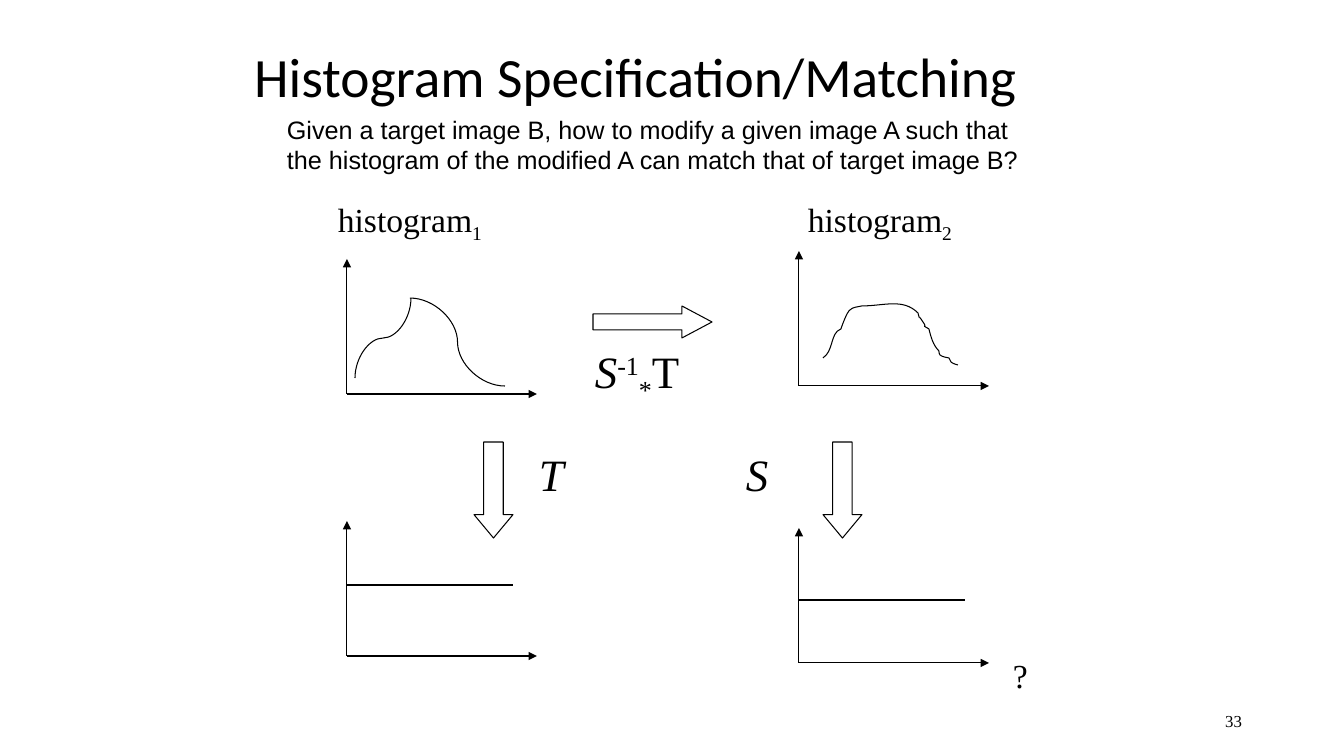
"""Builds the histogram matching slide."""
import lxml.etree
import pptx
import pptx.dml.color
import pptx.enum.shapes
import pptx.enum.text
import pptx.oxml.ns
import pptx.util

SCALE = 914400 / 100.8
SLIDE = (1344, 756)
INK = "000000"
LINE_WIDTH = 0.75

ALIGN = pptx.enum.text.PP_ALIGN
ANCHOR = pptx.enum.text.MSO_ANCHOR
AUTO = pptx.enum.text.MSO_AUTO_SIZE
SHAPE = pptx.enum.shapes.MSO_SHAPE
CONNECTOR = pptx.enum.shapes.MSO_CONNECTOR

SERIF, SANS = "Times New Roman", "Arial"
FIT = {"word_wrap": False, "auto_size": AUTO.SHAPE_TO_FIT_TEXT}
FIXED = {"word_wrap": True, "auto_size": AUTO.NONE, "vertical_anchor": ANCHOR.MIDDLE}

TITLE = ("Histogram Specification/Matching", (244, 17, 857, 126))

# Each label: box, size, font, frame format, alignment, paragraphs of (text, italic, baseline %).
LABELS = [
    ((950, 701, 302, 40), 12, SERIF, FIXED, ALIGN.RIGHT, [[("33", False, 0)]]),
    ((736, 442, 42, 64), 32, SERIF, FIT, ALIGN.LEFT, [[("S", True, 0)]]),
    ((529, 442, 45, 64), 32, SERIF, FIT, ALIGN.LEFT, [[("T", True, 0)]]),
    ((585, 339, 111, 65), 32, SERIF, FIT, ALIGN.LEFT,
     [[("S", True, 0), ("-1", False, 30), ("*", False, -25), ("T", False, 0)]]),
    ((328, 194, 165, 50), 24, SERIF, FIT, ALIGN.LEFT, [[("histogram", False, 0), ("1", False, -25)]]),
    ((798, 194, 165, 50), 24, SERIF, FIT, ALIGN.LEFT, [[("histogram", False, 0), ("2", False, -25)]]),
    ((1003, 650, 35, 50), 24, SERIF, FIT, ALIGN.LEFT, [[("?", False, 0)]]),
    ((277, 109, 767, 72), 18, SANS, FIT, ALIGN.LEFT,
     [[("Given a target image B, how to modify a given image A such that", False, 0)],
      [("the histogram of the modified A can match that of target image B?", False, 0)]]),
]

AXIS_ORIGINS = [(347, 394), (799, 386), (347, 656), (799, 663)]
AXIS_WIDTH, AXIS_HEIGHT = 190, 135
FLAT_STARTS = [(347, 585), (799, 600)]
FLAT_WIDTH = 166

CURVES = [((343, 310), (423, 366), 270), ((410, 298), (505, 386), 180)]
PLATEAU = [
    (823, 358),
    (834, 351), (830, 333), (841, 329), (842, 326), (847, 312), (850, 310),
    (853, 307), (858, 307), (862, 306), (884, 306), (903, 298), (918, 313),
    (921, 323), (916, 311), (923, 322), (929, 330), (919, 323), (929, 329),
    (931, 337), (933, 345), (939, 351), (939, 352), (939, 354), (940, 355),
    (942, 357), (949, 358), (949, 358), (950, 359), (950, 361), (951, 362),
    (953, 364), (958, 365), (958, 365),
]
BLOCK_ARROWS = [
    (SHAPE.DOWN_ARROW, (474, 442, 39, 96), 0.6),
    (SHAPE.DOWN_ARROW, (823, 442, 39, 96), 0.6),
    (SHAPE.RIGHT_ARROW, (593, 306, 119, 32), 0.94),
]


def emu(*lengths):
    """Turns px lengths into EMU."""
    return [pptx.util.Emu(round(length * SCALE)) for length in lengths]


def colour(value):
    """Turns a hex string into a colour."""
    return pptx.dml.color.RGBColor.from_string(value)


def apply(target, formats):
    """Sets attributes from a dict."""
    for name, value in formats.items():
        setattr(target, name, value)


def child(parent, tag, **attributes):
    """Adds a drawing element to a parent."""
    return lxml.etree.SubElement(parent, pptx.oxml.ns.qn(tag), attributes)


def add_span(para, text, font, size, italic=False, baseline=0):
    """Adds one formatted run."""
    span = para.add_run()
    span.text = text
    apply(span.font, {"name": font, "size": pptx.util.Pt(size), "italic": italic})
    span.font.color.rgb = colour(INK)
    if baseline:
        span.font._element.set("baseline", str(baseline * 1000))


def add_title(page):
    """Fills the title placeholder."""
    text, bounds = TITLE
    box = page.shapes.title
    apply(box, dict(zip(("left", "top", "width", "height"), emu(*bounds))))
    apply(box.text_frame, FIXED)
    para = box.text_frame.paragraphs[0]
    apply(para, {"alignment": ALIGN.LEFT, "line_spacing": 0.9})
    add_span(para, text, "Calibri", 39.6)


def add_label(page, bounds, size, font, frame_format, alignment, paragraphs):
    """Adds a text box."""
    frame = page.shapes.add_textbox(*emu(*bounds)).text_frame
    apply(frame, frame_format)
    for index, spans in enumerate(paragraphs):
        para = frame.add_paragraph() if index else frame.paragraphs[0]
        para.alignment = alignment
        for text, italic, baseline in spans:
            add_span(para, text, font, size, italic, baseline)


def outline(shape):
    """Gives a shape or connector its thin line."""
    shape.line.color.rgb = colour(INK)
    shape.line.width = pptx.util.Pt(LINE_WIDTH)


def add_line(page, start, end, kind=CONNECTOR.STRAIGHT, arrow=False, rotation=0):
    """Adds a connector."""
    line = page.shapes.add_connector(kind, *emu(*start, *end))
    outline(line)
    properties = line._element.spPr
    if arrow:
        child(line.line._get_or_add_ln(), "a:tailEnd", type="triangle")
    if rotation:
        properties.find(pptx.oxml.ns.qn("a:xfrm")).set("rot", str(rotation * 60000))
    child(properties, "a:effectLst")


def add_plateau(page):
    """Draws the second histogram as cubic curves."""
    builder = page.shapes.build_freeform(*PLATEAU[0], scale=SCALE)
    builder.add_line_segments(PLATEAU[1:], close=False)
    shape = builder.convert_to_shape()
    shape.shadow.inherit = False
    shape.fill.background()
    outline(shape)
    segments = list(shape._element.iter(pptx.oxml.ns.qn("a:lnTo")))
    track = segments[0].getparent()
    for first in range(0, len(segments), 3):
        cubic = child(track, "a:cubicBezTo")
        for segment in segments[first:first + 3]:
            cubic.append(segment[0])
            track.remove(segment)


def add_block_arrow(page, kind, bounds, head):
    """Adds a hollow block arrow."""
    arrow = page.shapes.add_shape(kind, *emu(*bounds))
    arrow.shadow.inherit = False
    arrow.fill.background()
    outline(arrow)
    arrow.adjustments[0] = 0.5
    arrow.adjustments[1] = head


def main():
    """Builds and saves the deck."""
    deck = pptx.Presentation()
    deck.slide_width, deck.slide_height = emu(*SLIDE)
    page = deck.slides.add_slide(deck.slide_layouts[5])
    add_title(page)
    for x, y in AXIS_ORIGINS:
        add_line(page, (x, y), (x, y - AXIS_HEIGHT), arrow=True)
        add_line(page, (x, y), (x + AXIS_WIDTH, y), arrow=True)
    for x, y in FLAT_STARTS:
        add_line(page, (x, y), (x + FLAT_WIDTH, y))
    for start, end, rotation in CURVES:
        add_line(page, start, end, CONNECTOR.CURVE, rotation=rotation)
    add_plateau(page)
    for arrow in BLOCK_ARROWS:
        add_block_arrow(page, *arrow)
    for label in LABELS:
        add_label(page, *label)
    deck.save("out.pptx")


if __name__ == "__main__":
    main()
